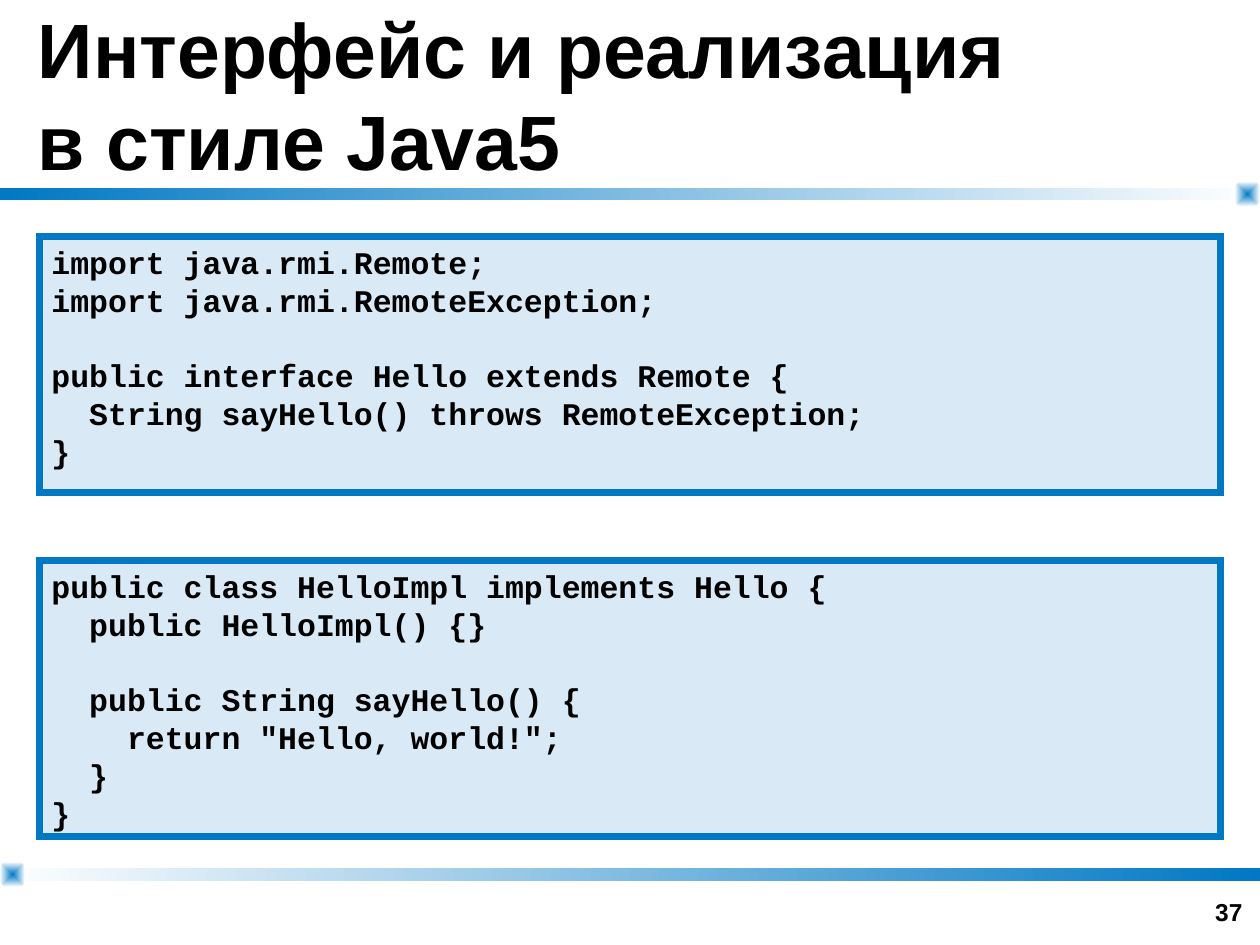
from lxml import etree
from pptx import Presentation
from pptx import util as u
from pptx.dml.color import RGBColor
from pptx.enum import shapes, text
from pptx.oxml import ns

TITLE = "Интерфейс и реализация\vв стиле Java5"
NUMBER = "37"
COLORS = {"blue": "0078C3", "white": "FFFFFF", "black": "000000"}
WIDTH, HEIGHT = 10, 7.5

# Each line of code: (indent level, text); each inner list is a group set off by a gap.
LISTINGS = [
    {"top": 1.88, "height": 2.03, "groups": [
        [(0, "import java.rmi.Remote;"),
         (0, "import java.rmi.RemoteException;")],
        [(0, "public interface Hello extends Remote {"),
         (1, "String sayHello() throws RemoteException;"),
         (0, "}")],
    ]},
    {"top": 4.45, "height": 2.19, "groups": [
        [(0, "public class HelloImpl implements Hello {"),
         (1, "public HelloImpl() {}")],
        [(1, "public String sayHello() {"),
         (2, 'return "Hello, world!";'),
         (1, "}"),
         (0, "}")],
    ]},
]
BAR_HEIGHT, KNOB = 0.1, 0.2
# Rules across the slide: centre line, gradient colours, left edge of the knob
RULES = [(1.54, ("blue", "white"), WIDTH - KNOB),
         (6.94, ("white", "blue"), 0)]
MARGIN = 0.31
CODE_LINE = 21.6      # points from one line of code to the next
INDENT = 0.3          # two monospaced characters at 18 pt

TITLE_FONT = {"name": "Arial", "size": u.Pt(44), "bold": True}
NUMBER_FONT = {"name": "Arial", "size": u.Pt(14), "bold": True}
CODE_FONT = {"name": "Courier New", "size": u.Pt(18), "bold": True}


def color(name):
    return RGBColor.from_string(COLORS[name])


def inches(*values):
    return [u.Inches(value) for value in values]


def set_font(para, values):
    for span in para.runs:
        for key, value in values.items():
            setattr(span.font, key, value)
        span.font.color.rgb = color("black")


def set_frame(frame, anchor):
    values = {"word_wrap": True, "auto_size": text.MSO_AUTO_SIZE.NONE,
              "vertical_anchor": anchor,
              "margin_left": u.Inches(0.1), "margin_right": u.Inches(0.1),
              "margin_top": u.Inches(0.05), "margin_bottom": u.Inches(0.05)}
    for key, value in values.items():
        setattr(frame, key, value)


def add_gradient(slide, kind, place, names):
    shape = slide.shapes.add_shape(kind, *inches(*place))
    shape.shadow.inherit = False
    shape.line.fill.background()
    shape.fill.gradient()
    shape.fill.gradient_angle = 0
    for stop, name in zip(shape.fill.gradient_stops, names):
        stop.color.rgb = color(name)
    return shape


def make_centred(shape):
    """Turn a linear gradient into one that spreads from the middle."""
    linear = shape.fill._xPr.find(".//" + ns.qn("a:lin"))
    spread = etree.Element(ns.qn("a:path"), {"path": "shape"})
    etree.SubElement(spread, ns.qn("a:fillToRect"),
                     {side: "50000" for side in "ltrb"})
    linear.getparent().replace(linear, spread)


def add_rule(slide, middle, names, knob_left):
    add_gradient(slide, shapes.MSO_SHAPE.RECTANGLE,
                 (0, middle - BAR_HEIGHT / 2, WIDTH, BAR_HEIGHT), names)
    knob = add_gradient(slide, shapes.MSO_SHAPE.ROUNDED_RECTANGLE,
                        (knob_left, middle - KNOB / 2, KNOB, KNOB),
                        ("blue", "white"))
    knob.adjustments[0] = 0.32
    make_centred(knob)


def add_listing(slide, top, height, groups):
    box = slide.shapes.add_shape(
        shapes.MSO_SHAPE.RECTANGLE,
        *inches(MARGIN, top, WIDTH - 2 * MARGIN, height))
    box.shadow.inherit = False
    box.fill.solid()
    box.fill.fore_color.rgb = color("blue")
    tint = box.fill._xPr.find(ns.qn("a:solidFill"))[0]
    etree.SubElement(tint, ns.qn("a:alpha"), {"val": "15000"})
    box.line.color.rgb = color("blue")
    box.line.width = u.Pt(4)
    etree.SubElement(box.line._ln, ns.qn("a:miter"), {"lim": "800000"})

    frame = box.text_frame
    set_frame(frame, text.MSO_ANCHOR.TOP)
    para = frame.paragraphs[0]
    for group_index, group in enumerate(groups):
        for line_index, (level, line) in enumerate(group):
            if group_index or line_index:
                para = frame.add_paragraph()
            para.text = line
            para.alignment = text.PP_ALIGN.LEFT
            if group_index and not line_index:
                para.space_before = u.Pt(CODE_LINE)
            para._p.get_or_add_pPr().set("marL", str(u.Inches(INDENT * level)))
            set_font(para, CODE_FONT)


def place_title(slide):
    title = slide.shapes.title
    title.left, title.top, title.width, title.height = inches(0.2, 0, 9.6, 1.49)
    title.text_frame.text = TITLE
    set_frame(title.text_frame, text.MSO_ANCHOR.MIDDLE)
    para = title.text_frame.paragraphs[0]
    para.alignment = text.PP_ALIGN.LEFT
    set_font(para, TITLE_FONT)


def add_number(slide):
    box = slide.shapes.add_textbox(*inches(7.63, 6.9, 2.33, 0.5))
    box.text_frame.text = NUMBER
    set_frame(box.text_frame, text.MSO_ANCHOR.BOTTOM)
    para = box.text_frame.paragraphs[0]
    para.alignment = text.PP_ALIGN.RIGHT
    set_font(para, NUMBER_FONT)


def main():
    deck = Presentation()
    deck.slide_width, deck.slide_height = inches(WIDTH, HEIGHT)
    slide = deck.slides.add_slide(deck.slide_layouts.get_by_name("Title Only"))
    slide.background.fill.solid()
    slide.background.fill.fore_color.rgb = color("white")
    for rule in RULES:
        add_rule(slide, *rule)
    place_title(slide)
    add_number(slide)
    for listing in LISTINGS:
        add_listing(slide, **listing)
    deck.save("out.pptx")


if __name__ == "__main__":
    main()
